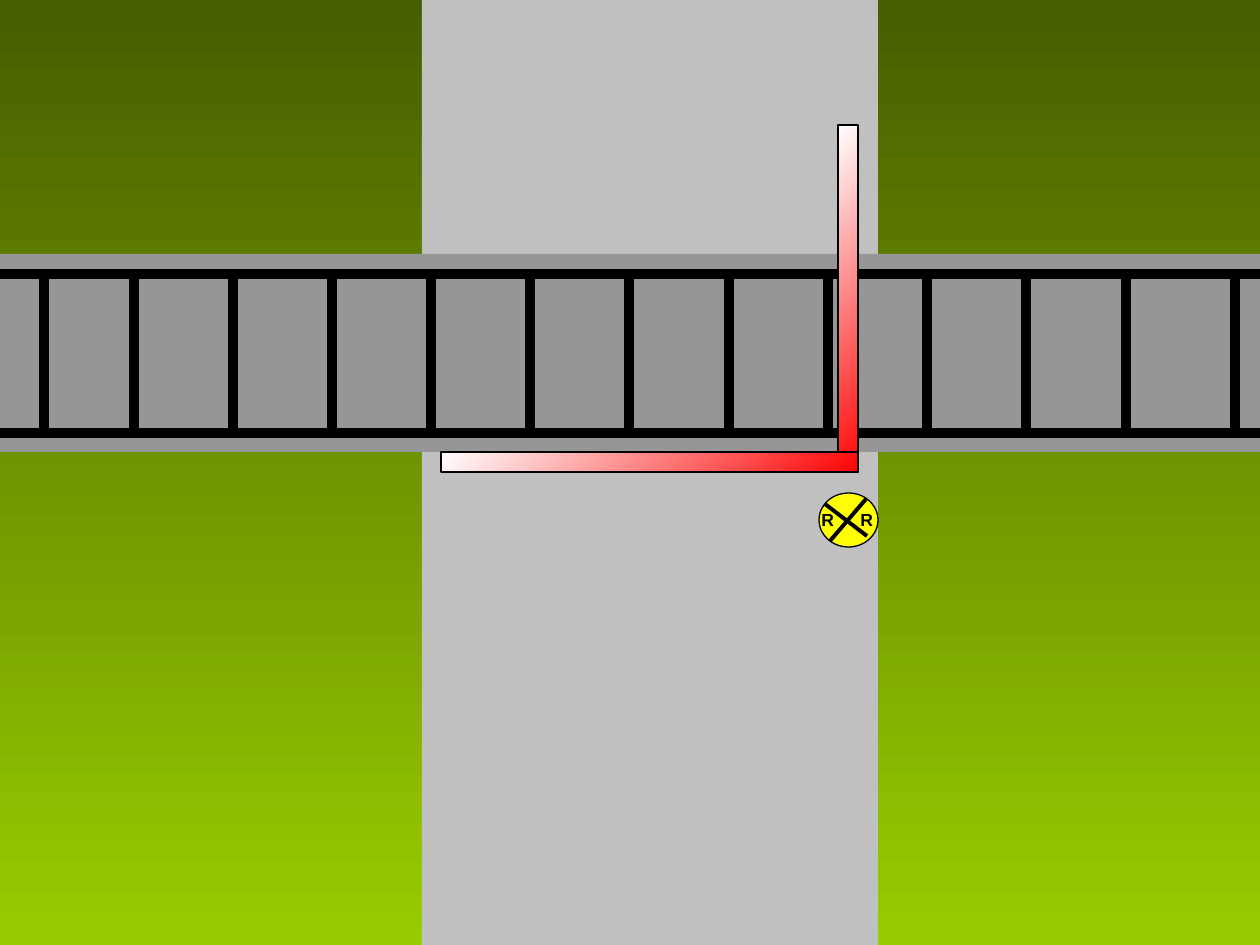
import pptx
import pptx.dml.color
import pptx.enum.shapes
import pptx.enum.text
import pptx.oxml
import pptx.util

SHAPES = pptx.enum.shapes.MSO_SHAPE
BLACK = "000000"


def px(length):
    return pptx.util.Emu(round(length * 914400 / 126))


def color(value):
    return pptx.dml.color.RGBColor.from_string(value)


def paint(fill, colors, angle=0):
    if len(colors) == 1:
        fill.solid()
        fill.fore_color.rgb = color(colors[0])
        return
    fill.gradient()
    fill.gradient_angle = angle
    for stop, value in zip(fill.gradient_stops, colors):
        stop.color.rgb = color(value)


def add_block(shapes, kind, box, colors, angle=0, outlined=False):
    shape = shapes.add_shape(kind, *map(px, box))
    shape.shadow.inherit = False
    paint(shape.fill, colors, angle)
    if outlined:
        shape.line.color.rgb = color(BLACK)
        shape.line.width = pptx.util.Pt(0.75)
    else:
        shape.line.fill.background()


def add_line(shapes, start, end, width):
    line = shapes.add_connector(
        pptx.enum.shapes.MSO_CONNECTOR.STRAIGHT, *map(px, (*start, *end)))
    line.line.color.rgb = color(BLACK)
    line.line.width = pptx.util.Pt(width)
    properties = line._element.spPr
    properties.append(pptx.oxml.parse_xml(
        '<a:effectLst xmlns:a="http://schemas.openxmlformats.org/drawingml/2006/main"/>'))


def add_railway(shapes, box):
    left, top, width, height = box
    add_block(shapes, SHAPES.RECTANGLE, box, ["969696"])
    upper, lower = top + 20, top + height - 19
    for rail in (upper, lower):
        add_line(shapes, (left, rail), (left + width, rail), 6)
    middle_ties = [233 + 893 * index // 9 for index in range(10)]
    for tie in (44, 134, *middle_ties, 1235):
        add_line(shapes, (left + tie, upper), (left + tie, lower), 6)


def add_letter(shapes, box):
    text_box = shapes.add_textbox(*map(px, box))
    frame = text_box.text_frame
    frame.word_wrap = True
    frame.auto_size = pptx.enum.text.MSO_AUTO_SIZE.SHAPE_TO_FIT_TEXT
    frame.text = "R"
    font = frame.paragraphs[0].runs[0].font
    font.name = "Arial"
    font.size = pptx.util.Pt(10)
    font.bold = True
    font.color.rgb = color(BLACK)


def add_crossing_sign(shapes, box):
    left, top, width, height = box
    sign = shapes.add_group_shape().shapes
    add_block(sign, SHAPES.OVAL, box, ["FFFF00"], outlined=True)
    add_line(sign, (left + 47, top + 6), (left + 11, top + 48), 2.25)
    add_line(sign, (left + 6, top + 11), (left + 48, top + 43), 2.25)
    for offset in (-10, 29):
        add_letter(sign, (left + offset, top + 10, 40, 34))


def add_gates(shapes, box):
    left, top, width, height = box
    thickness = 20
    raised = (left + width - thickness, top, thickness, height)
    lowered = (left, top + height - thickness, width, thickness)
    for gate in (raised, lowered):
        add_block(shapes, SHAPES.RECTANGLE, gate, ["FF0505", "FFFFFF"], 135, True)


def main():
    presentation = pptx.Presentation()
    presentation.slide_width = px(1260)
    presentation.slide_height = px(945)
    slide = presentation.slides.add_slide(presentation.slide_layouts[6])
    paint(slide.background.fill, ["465E00", "99CC00"], 270)
    add_block(slide.shapes, SHAPES.RECTANGLE, (422, 0, 456, 945), ["C0C0C0"])
    add_railway(slide.shapes, (0, 254, 1260, 198))
    add_crossing_sign(slide.shapes, (819, 493, 59, 54))
    add_gates(slide.shapes, (441, 125, 417, 347))
    presentation.save("out.pptx")


if __name__ == "__main__":
    main()
